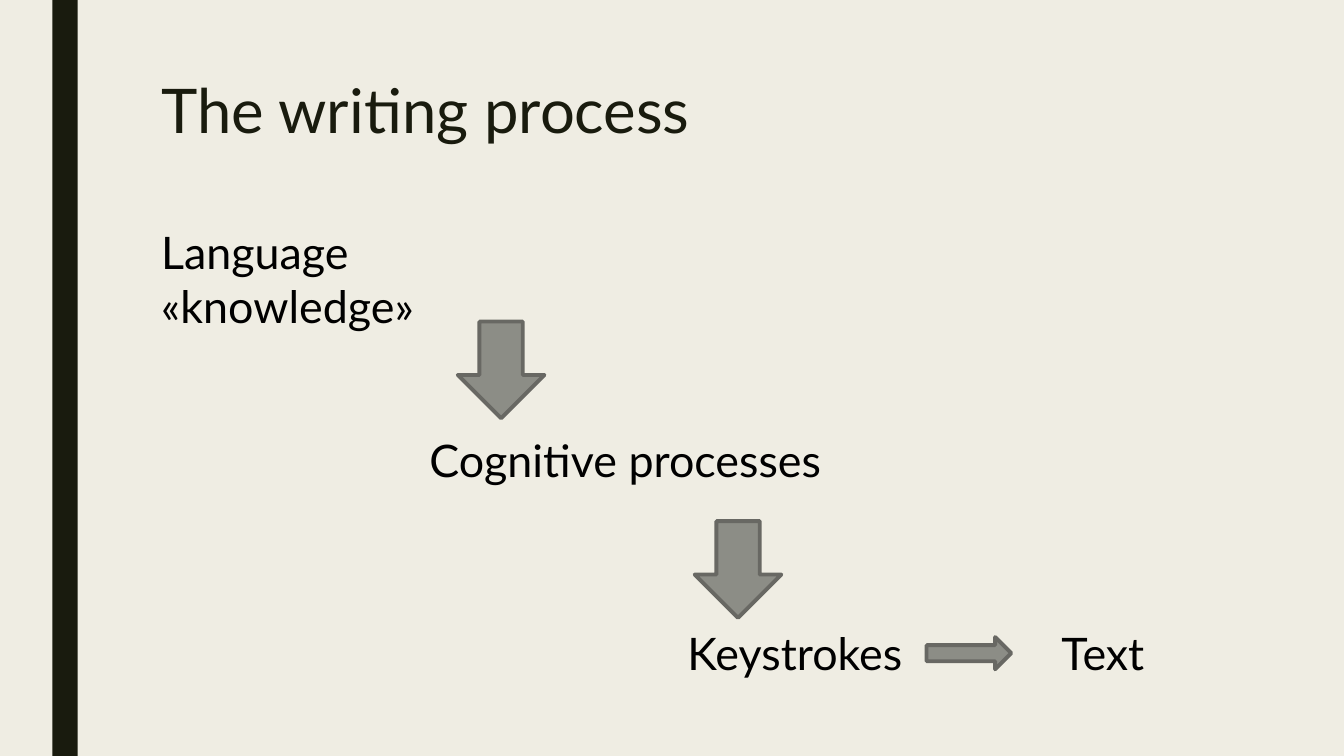
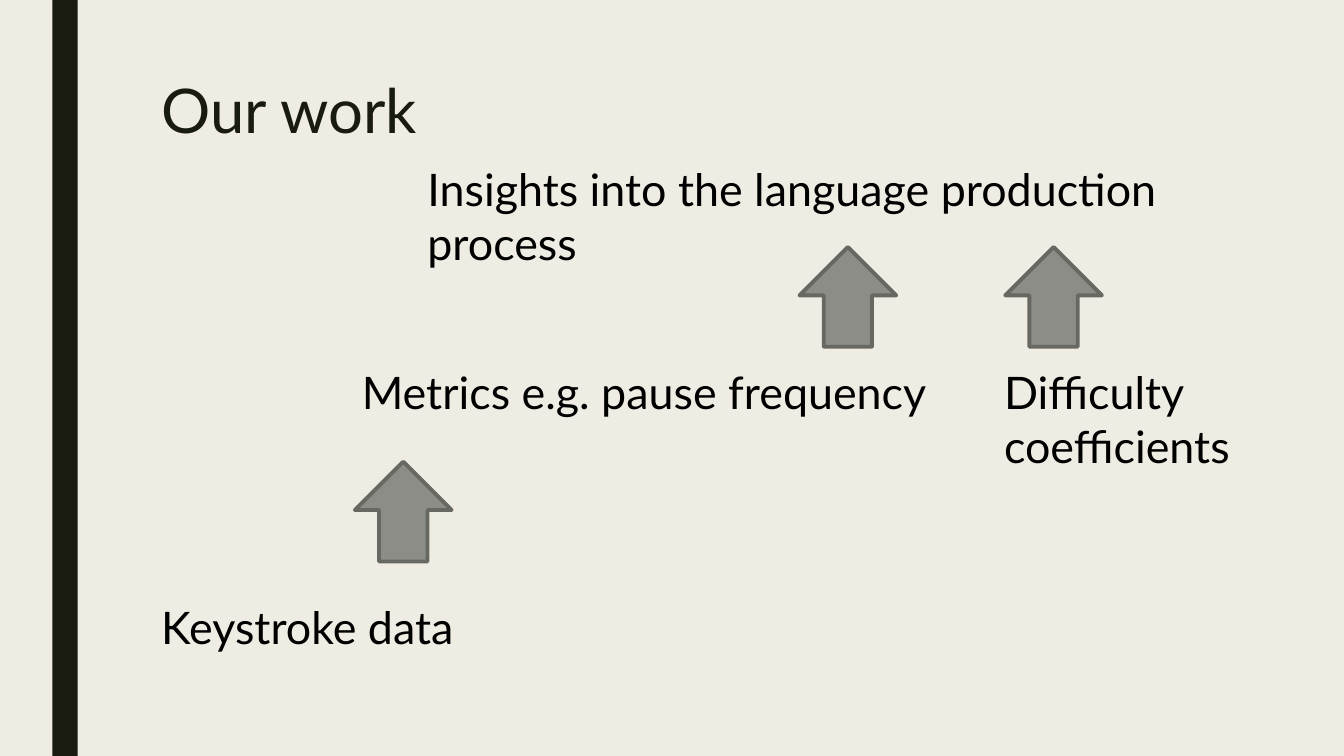
"""Build two slides on the writing process and the work around it."""
from dataclasses import dataclass

from pptx import Presentation
from pptx import util as u
from pptx.dml.color import RGBColor
from pptx.enum import shapes, text

HUES = {"paper": "EFEDE3", "ink": "191B0E", "body": "000000",
        "arrow": "8C8D86", "edge": "686863"}
FONT = "Lato"
KIND = shapes.MSO_SHAPE
DOWN = (KIND.DOWN_ARROW, 0.86, 0.96)
UP = (KIND.UP_ARROW, 0.96, 0.99)
RIGHT = (KIND.RIGHT_ARROW, 0.84, 0.32)


@dataclass(frozen=True)
class Label:
    """A line of body text, with its place and size in inches."""
    words: str
    left: float
    top: float
    width: float
    height: float = 0.64


@dataclass(frozen=True)
class Arrow:
    """A block arrow of a given form, with its place in inches."""
    form: tuple
    left: float
    top: float


@dataclass(frozen=True)
class Page:
    """A slide title with its labels and arrows."""
    title: str
    labels: list[Label]
    arrows: list[Arrow]


PAGES = [
    Page("The writing process",
         [Label("Language «knowledge»", 1.5, 2.18, 4.51),
          Label("Cognitive processes", 4.16, 4.24, 4.45),
          Label("Keystrokes", 6.72, 6.16, 2.45),
          Label("Text", 10.43, 6.16, 1.54)],
         [Arrow(DOWN, 4.54, 3.19), Arrow(DOWN, 6.89, 5.17),
          Arrow(RIGHT, 9.19, 6.32)]),
    Page("Our work",
         [Label("Keystroke data", 1.5, 5.9, 5),
          Label("Metrics e.g. pause frequency", 3.49, 3.57, 5.93),
          Label("Difficulty\ncoefficients", 9.86, 3.57, 2.8, 1.18),
          Label("Insights into the language production process",
                4.14, 1.56, 9.01)],
         [Arrow(UP, 3.52, 4.58), Arrow(UP, 7.93, 2.45),
          Arrow(UP, 9.97, 2.45)]),
]


def hue(name: str) -> RGBColor:
    """Look up a named colour."""
    return RGBColor.from_string(HUES[name])


def box(*sides: float) -> list[u.Length]:
    """Turn left, top, width and height into lengths."""
    return [u.Inches(side) for side in sides]


def style(frame, size: float, name: str) -> None:
    """Set wrapping, font, size and colour of a text frame."""
    frame.word_wrap = True
    frame.vertical_anchor = text.MSO_ANCHOR.TOP
    for para in frame.paragraphs:
        para.alignment = text.PP_ALIGN.LEFT
        para.font.name = FONT
        para.font.size = u.Pt(size)
        para.font.color.rgb = hue(name)


def head(slide, words: str) -> None:
    """Fill, move and format the title."""
    title = slide.shapes.title
    title.left, title.top, title.width, title.height = box(1.5, 0.75, 10.5, 1.62)
    title.text_frame.text = words
    style(title.text_frame, 44, "ink")
    title.text_frame.auto_size = text.MSO_AUTO_SIZE.NONE
    title.text_frame.paragraphs[0].line_spacing = 0.89


def write(slide, label: Label) -> None:
    """Add a label as a text box."""
    frame = slide.shapes.add_textbox(
        *box(label.left, label.top, label.width, label.height)).text_frame
    frame.text = label.words
    style(frame, 32, "body")
    frame.auto_size = text.MSO_AUTO_SIZE.SHAPE_TO_FIT_TEXT


def point(slide, arrow: Arrow) -> None:
    """Add a block arrow."""
    kind, width, height = arrow.form
    shape = slide.shapes.add_shape(
        kind, *box(arrow.left, arrow.top, width, height))
    shape.shadow.inherit = False
    shape.fill.solid()
    shape.fill.fore_color.rgb = hue("arrow")
    shape.line.color.rgb = hue("edge")
    shape.line.width = u.Pt(2.75)


def base(deck, layout) -> None:
    """Give the master its background and the layout its side band."""
    fill = deck.slide_master.background.fill
    fill.solid()
    fill.fore_color.rgb = hue("paper")
    band = deck.slides[0].shapes.add_shape(
        KIND.RECTANGLE, *box(0.52, 0, 0.25, 7.5))
    band.shadow.inherit = False
    band.fill.solid()
    band.fill.fore_color.rgb = hue("ink")
    band.line.fill.background()
    band.element.nvSpPr.cNvPr.id = 20
    layout.shapes.element.insert(2, band.element)


def main() -> None:
    """Build and save the deck."""
    deck = Presentation()
    deck.slide_width, deck.slide_height = box(13.33, 7.5)
    layout = deck.slide_layouts.get_by_name("Title Only")
    for page in PAGES:
        slide = deck.slides.add_slide(layout)
        head(slide, page.title)
        for label in page.labels:
            write(slide, label)
        for arrow in page.arrows:
            point(slide, arrow)
    base(deck, layout)
    deck.save("out.pptx")


main()
